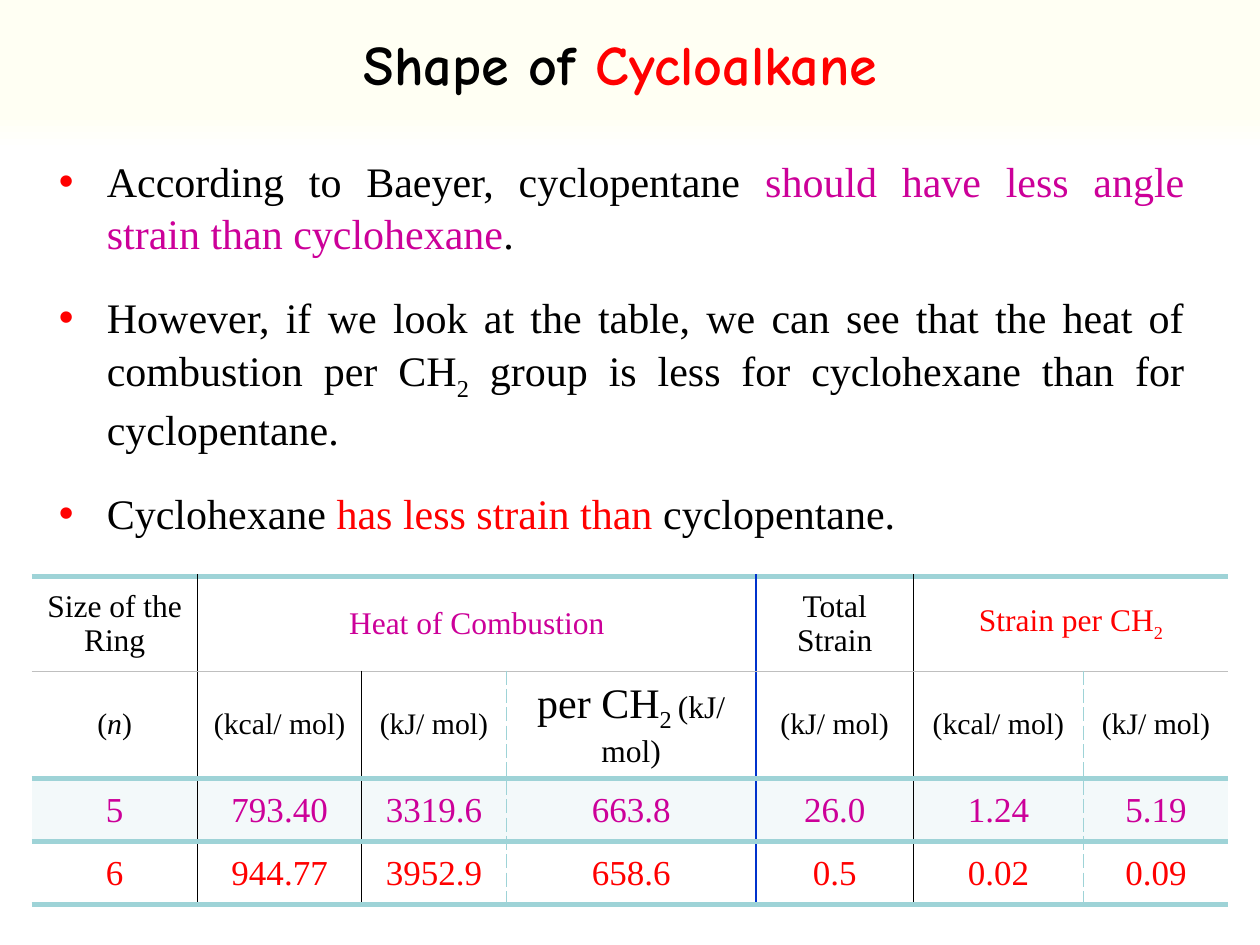
from lxml import etree
from pptx import Presentation
from pptx.dml.color import RGBColor
from pptx.enum.text import MSO_ANCHOR, MSO_AUTO_SIZE, PP_ALIGN
from pptx.oxml.ns import qn
from pptx.util import Inches, Pt

CENTER, JUSTIFY = PP_ALIGN.CENTER, PP_ALIGN.JUSTIFY
MIDDLE = MSO_ANCHOR.MIDDLE
GROW = MSO_AUTO_SIZE.SHAPE_TO_FIT_TEXT

BLACK = RGBColor(0x00, 0x00, 0x00)
WHITE = RGBColor(0xFF, 0xFF, 0xFF)
RED = RGBColor(0xFF, 0x00, 0x00)
PURPLE = RGBColor(0xCC, 0x00, 0x99)
BLUE = RGBColor(0x00, 0x33, 0xCC)
TEAL = RGBColor(0x9E, 0xD3, 0xD7)
GRAY = RGBColor(0xBF, 0xBF, 0xBF)
PALE_TEAL = RGBColor(0xF3, 0xF9, 0xFA)
CREAM = RGBColor(0xFF, 0xFF, 0xF3)

WIDTH, HEIGHT = Inches(10), Inches(7.5)
BODY_FONT, TITLE_FONT = "Times New Roman", "Comic Neue"

# Borders are (colour, points, dash)
THICK = (TEAL, 3, "solid")
HAIRLINE = (GRAY, 0.5, "solid")
DIVIDER = (BLACK, 0.5, "solid")
SECTION = (BLUE, 1, "solid")
DASHED = (TEAL, 1, "sysDash")

COLUMN_WIDTHS = [1.32, 1.3, 1.15, 1.98, 1.25, 1.35, 1.15]
ROW_HEIGHTS = [0.75, 0.5, 0.5, 0.5]
COLUMN_RULES = [None, DIVIDER, DIVIDER, DASHED, SECTION, DIVIDER, DASHED, None]
ROW_RULES = [THICK, HAIRLINE, THICK, THICK, THICK]
ROW_FILLS = [None, None, PALE_TEAL, WHITE]

# Runs are (text, colour, size, mark), where mark is "", "sub" or "italic"
TITLE = [("Shape of ", BLACK, 32, ""), ("Cycloalkane", RED, 32, "")]
BULLETS = [
    [("According to Baeyer, cyclopentane ", BLACK, 24, ""),
     ("should have less angle strain than cyclohexane", PURPLE, 24, ""),
     (".", BLACK, 24, "")],
    [("However, if we look at the table, we can see that the heat of "
      "combustion per CH", BLACK, 24, ""),
     ("2", BLACK, 24, "sub"),
     (" group is less for cyclohexane than for cyclopentane.", BLACK, 24, "")],
    [("Cyclohexane", BLACK, 24, ""),
     (" has less strain than ", RED, 24, ""),
     ("cyclopentane. ", BLACK, 24, "")],
]


def plain_row(texts, color, size):
    return [[(text, color, size, "")] for text in texts]


KCAL, KJ = plain_row(["(kcal/ mol)", "(kJ/ mol)"], BLACK, 17)
HEADINGS = [
    [("Size of the Ring", BLACK, 18, "")],
    [("Heat of Combustion", PURPLE, 18, "")], [], [],
    [("Total Strain", BLACK, 18, "")],
    [("Strain per CH", RED, 18, ""), ("2", RED, 18, "sub")], [],
]
UNITS = [
    [("(", BLACK, 17, ""), ("n", BLACK, 17, "italic"), (")", BLACK, 17, "")],
    KCAL, KJ,
    [("per CH", BLACK, 24, ""), ("2 ", BLACK, 24, "sub"),
     ("(kJ/ mol)", BLACK, 18, "")],
    KJ, KCAL, KJ,
]
ROWS = [
    HEADINGS,
    UNITS,
    plain_row(["5", "793.40", "3319.6", "663.8", "26.0", "1.24", "5.19"], PURPLE, 20),
    plain_row(["6", "944.77", "3952.9", "658.6", "0.5", "0.02", "0.09"], RED, 20),
]
HEADING_SPANS = [(1, 3), (5, 6)]


class SlideBuilder:
    """Holds the style and the current slide; places are shares of the slide."""

    def __init__(self, presentation):
        self.slide = presentation.slides.add_slide(presentation.slide_layouts[6])

    def box(self, left, top, width, height):
        return (int(left * WIDTH), int(top * HEIGHT),
                int(width * WIDTH), int(height * HEIGHT))

    def background(self, stops):
        fill = self.slide.background.fill
        fill.gradient()
        fill.gradient_angle = 270
        for stop, (position, color) in zip(fill.gradient_stops, stops):
            stop.position = position
            stop.color.rgb = color

    def add_runs(self, paragraph, runs, font=BODY_FONT, bold=False):
        for text, color, size, mark in runs:
            run = paragraph.add_run()
            run.text = text
            run.font.name = font
            run.font.size = Pt(size)
            run.font.bold = bold
            run.font.italic = mark == "italic"
            run.font.color.rgb = color
            if mark == "sub":
                run.font._element.set("baseline", "-25000")

    def text_frame(self, *place):
        frame = self.slide.shapes.add_textbox(*self.box(*place)).text_frame
        frame.word_wrap = True
        frame.auto_size = GROW
        return frame

    def title(self, runs, *place):
        paragraph = self.text_frame(*place).paragraphs[0]
        paragraph.alignment = CENTER
        self.add_runs(paragraph, runs, TITLE_FONT, bold=True)

    def bullets(self, items, *place):
        frame = self.text_frame(*place)
        for index, runs in enumerate(items):
            paragraph = frame.add_paragraph() if index else frame.paragraphs[0]
            paragraph.alignment = JUSTIFY
            paragraph.line_spacing = 1.04
            paragraph.space_after = Pt(18)
            properties = paragraph._p.get_or_add_pPr()
            properties.set("marL", str(Inches(0.38)))
            properties.set("indent", str(-Inches(0.38)))
            color = etree.SubElement(properties, qn("a:buClr"))
            etree.SubElement(color, qn("a:srgbClr"), val=str(RED))
            etree.SubElement(properties, qn("a:buFont"), typeface="Arial")
            etree.SubElement(properties, qn("a:buChar"), char="•")
            self.add_runs(paragraph, runs)

    def cell_borders(self, cell, *rules):
        """Draw the left, right, top and bottom rules; None leaves a side bare."""
        properties = cell._tc.get_or_add_tcPr()
        for position, (side, rule) in enumerate(zip("LRTB", rules)):
            color, points, dash = rule or (None, 0, None)
            line = etree.Element(qn(f"a:ln{side}"), w=str(Pt(points)))
            properties.insert(position, line)
            if rule is None:
                etree.SubElement(line, qn("a:noFill"))
                continue
            fill = etree.SubElement(line, qn("a:solidFill"))
            etree.SubElement(fill, qn("a:srgbClr"), val=str(color))
            etree.SubElement(line, qn("a:prstDash"), val=dash)

    def table(self, rows, *place):
        table = self.slide.shapes.add_table(
            len(rows), len(COLUMN_WIDTHS), *self.box(*place)).table
        table.first_row = table.horz_banding = False
        for column, width in zip(table.columns, COLUMN_WIDTHS):
            column.width = Inches(width)
        for row, height in zip(table.rows, ROW_HEIGHTS):
            row.height = Inches(height)
        for first, last in HEADING_SPANS:
            table.cell(0, first).merge(table.cell(0, last))
        inside_spans = {column for first, last in HEADING_SPANS
                        for column in range(first + 1, last + 1)}
        for r, row in enumerate(rows):
            rules = [None if r == 0 and c in inside_spans else rule
                     for c, rule in enumerate(COLUMN_RULES)]
            for first, last in HEADING_SPANS if r == 0 else []:
                rules[first] = COLUMN_RULES[first]
            for c, runs in enumerate(row):
                cell = table.cell(r, c)
                cell.vertical_anchor = MIDDLE
                if ROW_FILLS[r] is None:
                    cell.fill.background()
                else:
                    cell.fill.solid()
                    cell.fill.fore_color.rgb = ROW_FILLS[r]
                right = rules[c + 1]
                for first, last in HEADING_SPANS if r == 0 else []:
                    if c == first:
                        right = COLUMN_RULES[last + 1]
                self.cell_borders(cell, rules[c], right,
                                  ROW_RULES[r], ROW_RULES[r + 1])
                paragraph = cell.text_frame.paragraphs[0]
                paragraph.alignment = CENTER
                self.add_runs(paragraph, runs)


def main():
    presentation = Presentation()
    presentation.slide_width, presentation.slide_height = WIDTH, HEIGHT
    builder = SlideBuilder(presentation)
    builder.background([(0.12, CREAM), (0.16, WHITE)])
    builder.bullets(BULLETS, 0.037, 0.156, 0.913, 0.404)
    builder.table(ROWS, 0.025, 0.61, 0.95, 0.3)
    builder.title(TITLE, 0.133, 0.025, 0.719, 0.085)
    presentation.save("out.pptx")


if __name__ == "__main__":
    main()
